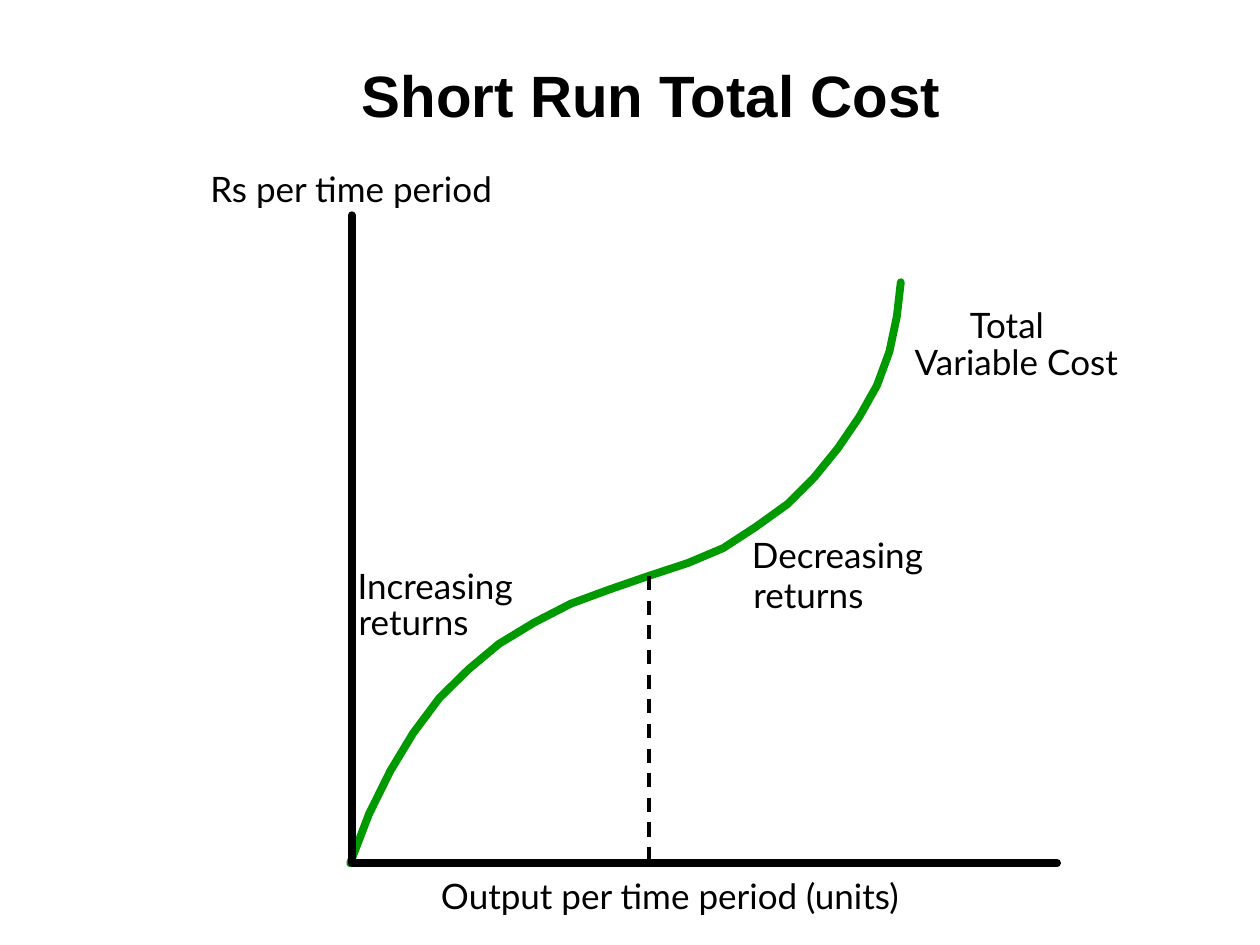
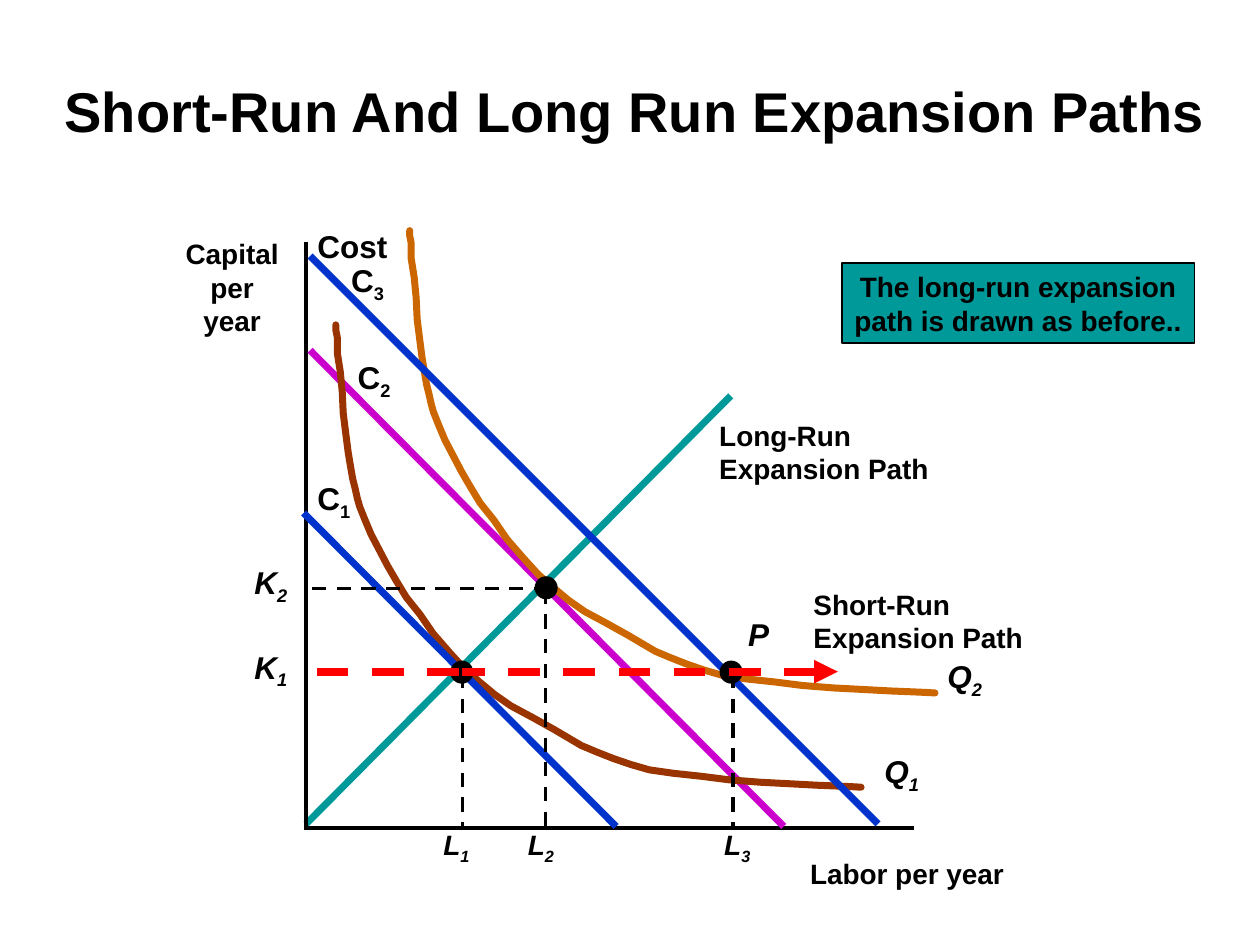
from lxml import etree
from pptx import Presentation
from pptx.dml.color import RGBColor
from pptx.enum.dml import MSO_LINE
from pptx.enum.shapes import MSO_CONNECTOR, MSO_SHAPE
from pptx.enum.text import MSO_ANCHOR, MSO_AUTO_SIZE, PP_ALIGN
from pptx.oxml.ns import qn
from pptx.util import Cm, Pt

color = RGBColor.from_string
BLACK, GREEN, TEAL, BLUE = "000000", "009900", "009999", "0033CC"
MAGENTA, ORANGE, BROWN, RED = "CC00CC", "CC6600", "993300", "FF0000"
UNIT = Cm(0.01)  # curve points are in hundredths of a centimetre


def write(shape, text, size, font="Arial", bold=True, italic=False, align=PP_ALIGN.LEFT):
    """Fill the shape with one paragraph per line; "_" starts a subscript."""
    frame = shape.text_frame
    frame.word_wrap = True
    frame.auto_size = MSO_AUTO_SIZE.NONE
    for index, line in enumerate(text.split("\n")):
        paragraph = frame.paragraphs[0] if index == 0 else frame.add_paragraph()
        paragraph.alignment = align
        paragraph.font.name = font
        paragraph.font.size = Pt(size)
        paragraph.font.bold = bold
        paragraph.font.italic = italic
        paragraph.font.color.rgb = color(BLACK)
        base, _, subscript = line.partition("_")
        paragraph.add_run().text = base
        if subscript:
            run = paragraph.add_run()
            run.text = subscript
            run.font._element.set("baseline", "-25000")


def draw(slide, points, hex_color, width, dashed=False):
    """Draw a connector through two points in cm, or a freeform through more in UNITs."""
    if len(points) == 2:
        (x1, y1), (x2, y2) = points
        shape = slide.shapes.add_connector(MSO_CONNECTOR.STRAIGHT, Cm(x1), Cm(y1), Cm(x2), Cm(y2))
    else:
        builder = slide.shapes.build_freeform(*points[0], scale=UNIT)
        builder.add_line_segments(points[1:], close=False)
        shape = builder.convert_to_shape()
        shape.fill.background()
    shape.line.color.rgb = color(hex_color)
    shape.line.width = Pt(width)
    if dashed:
        shape.line.dash_style = MSO_LINE.DASH
    properties = shape._element.spPr
    if len(points) > 2:
        properties.find(qn("a:ln")).set("cap", "rnd")
    etree.SubElement(properties, qn("a:effectLst"))
    return shape


presentation = Presentation()
presentation.slide_width = Cm(25.4)
presentation.slide_height = Cm(19.05)
title_only = presentation.slide_layouts[5]

titles = [
    ("Short Run Total Cost", 33.3, 6.15, 1.07, 13.97, 1.7, MSO_ANCHOR.TOP),
    ("Short-Run And Long Run Expansion Paths", 32, 0.84, 1.07, 23.93, 1.96, MSO_ANCHOR.BOTTOM),
]
slides = []
for text, size, left, top, width, height, anchor in titles:
    slide = presentation.slides.add_slide(title_only)
    title = slide.shapes.title
    title.left, title.top, title.width, title.height = Cm(left), Cm(top), Cm(width), Cm(height)
    write(title, text, size, align=PP_ALIGN.CENTER)
    title.text_frame.vertical_anchor = anchor
    slides.append(slide)
cost_slide, expansion_slide = slides

# Slide 1: total cost curve
variable_cost = [
    (706, 1740), (744, 1641), (787, 1554), (833, 1478), (886, 1407), (945, 1349),
    (1006, 1298), (1077, 1255), (1151, 1217), (1227, 1189), (1308, 1161),
    (1387, 1135), (1458, 1105), (1524, 1062), (1588, 1016), (1641, 963),
    (1689, 904), (1732, 841), (1768, 777), (1793, 709), (1808, 638), (1816, 569),
]
draw(cost_slide, variable_cost, GREEN, 4.5)
draw(cost_slide, [(2131, 1740), (709, 1740), (709, 434)], BLACK, 4.5)
draw(cost_slide, [(13.08, 11.61), (13.08, 17.4)], BLACK, 2, dashed=True)

cost_labels = [
    ("Output per time period (units)", 8.64, 17.5, 10.5),
    ("Rs per time period", 3.99, 3.25, 6.7),
    ("Total", 19.3, 5.99, 2.3),
    ("Variable Cost", 18.19, 6.73, 5),
    ("Decreasing", 14.91, 10.64, 4.3),
    ("returns", 14.94, 11.43, 3),
    ("Increasing", 6.96, 11.25, 4.1),
    ("returns", 6.98, 11.99, 3),
]
for text, left, top, width in cost_labels:
    box = cost_slide.shapes.add_textbox(Cm(left), Cm(top), Cm(width), Cm(1.09))
    write(box, text, 20, font="Lato", bold=False)

# Slide 2: expansion paths, isocost lines and isoquants
base_lines = [
    ((6.17, 16.61), (14.73, 7.98), TEAL, 4),
    ((6.17, 4.88), (6.17, 16.66), BLACK, 2),
    ((6.12, 16.69), (18.42, 16.69), BLACK, 2),
    ((6.25, 7.06), (15.8, 16.66), MAGENTA, 4),
]
for start, end, hex_color, width in base_lines:
    draw(expansion_slide, [start, end], hex_color, width)

isoquant = [
    (0, 0), (0, 10), (3, 25), (3, 56), (9, 94), (13, 135), (15, 178), (20, 218),
    (25, 257), (30, 287), (34, 310), (39, 330), (43, 348), (48, 366), (58, 391),
    (71, 422), (104, 485), (122, 516), (142, 549), (170, 584), (196, 622),
    (229, 660), (259, 693), (290, 720), (320, 745), (353, 768), (394, 790),
    (439, 815), (495, 848), (526, 861), (559, 874), (594, 886), (632, 897),
    (681, 904), (737, 910), (792, 917), (856, 922), (914, 925), (970, 928),
    (1019, 930), (1041, 931), (1059, 932),
]
for left, top, hex_color in [(826, 465, ORANGE), (677, 655, BROWN)]:
    draw(expansion_slide, [(left + x, top + y) for x, y in isoquant], hex_color, 4)

for start, end in [((6.25, 5.16), (17.7, 16.61)), ((6.12, 10.34), (12.42, 16.66))]:
    draw(expansion_slide, [start, end], BLUE, 4)

guides = [
    ((11.05, 11.86), (6.12, 11.86)),
    ((11, 11.89), (11, 16.69)),
    ((9.32, 13.59), (9.32, 16.69)),
    ((14.78, 13.59), (14.78, 16.69)),
]
for start, end in guides:
    draw(expansion_slide, [start, end], BLACK, 2, dashed=True)

DOT = 0.43
for x, y in [(11.01, 11.85), (9.31, 13.55), (14.74, 13.55)]:
    dot = expansion_slide.shapes.add_shape(
        MSO_SHAPE.OVAL, Cm(x - DOT / 2), Cm(y - DOT / 2), Cm(DOT), Cm(DOT))
    dot.shadow.inherit = False
    dot.fill.solid()
    dot.fill.fore_color.rgb = color(BLACK)
    dot.line.color.rgb = color(BLACK)
    dot.line.width = Pt(1)

draw(expansion_slide, [(9.25, 13.54), (6.12, 13.54)], RED, 4.5, dashed=True)
short_run_path = draw(expansion_slide, [(16.89, 13.54), (9.32, 13.54)], RED, 4.5, dashed=True)
line_properties = short_run_path._element.spPr.find(qn("a:ln"))
etree.SubElement(line_properties, qn("a:headEnd")).set("type", "triangle")

callout = expansion_slide.shapes.add_shape(
    MSO_SHAPE.RECTANGLE, Cm(16.97), Cm(5.31), Cm(7.11), Cm(1.6))
callout.shadow.inherit = False
callout.fill.solid()
callout.fill.fore_color.rgb = color(TEAL)
callout.line.color.rgb = color(BLACK)
callout.line.width = Pt(1)
write(callout, "The long-run expansion\npath is drawn as before..", 16, align=PP_ALIGN.CENTER)

expansion_labels = [
    ("Long-Run\nExpansion Path", 14.25, 8.31, 4.9, 1.6, PP_ALIGN.LEFT),
    ("Short-Run\nExpansion Path", 16.15, 11.71, 4.9, 1.6, PP_ALIGN.LEFT),
    ("Labor per year", 16.08, 17.15, 4.6, 0.91, PP_ALIGN.LEFT),
    ("Capital\nper\nyear", 3.48, 4.65, 2.4, 2.29, PP_ALIGN.CENTER),
]
for text, left, top, width, height, align in expansion_labels:
    box = expansion_slide.shapes.add_textbox(Cm(left), Cm(top), Cm(width), Cm(height))
    write(box, text, 16, align=align)

symbols = [
    ("L_1", 8.69, 16.56, 16, True),
    ("L_2", 10.39, 16.56, 16, True),
    ("L_3", 14.35, 16.56, 16, True),
    ("K_1", 4.88, 12.93, 18, True),
    ("K_2", 4.88, 11.23, 18, True),
    ("Q_1", 17.58, 15.04, 18, True),
    ("Q_2", 18.85, 13.13, 18, True),
    ("P", 14.83, 12.27, 18, True),
    ("C_1", 6.15, 9.53, 18, False),
    ("C_2", 6.96, 7.09, 18, False),
    ("C_3", 6.83, 5.13, 18, False),
    ("Cost", 6.15, 4.45, 18, False),
]
for text, left, top, size, italic in symbols:
    width = 2.1 if text == "Cost" else 1.25
    box = expansion_slide.shapes.add_textbox(Cm(left), Cm(top), Cm(width), Cm(1.1))
    write(box, text, size, italic=italic)

presentation.save("out.pptx")
